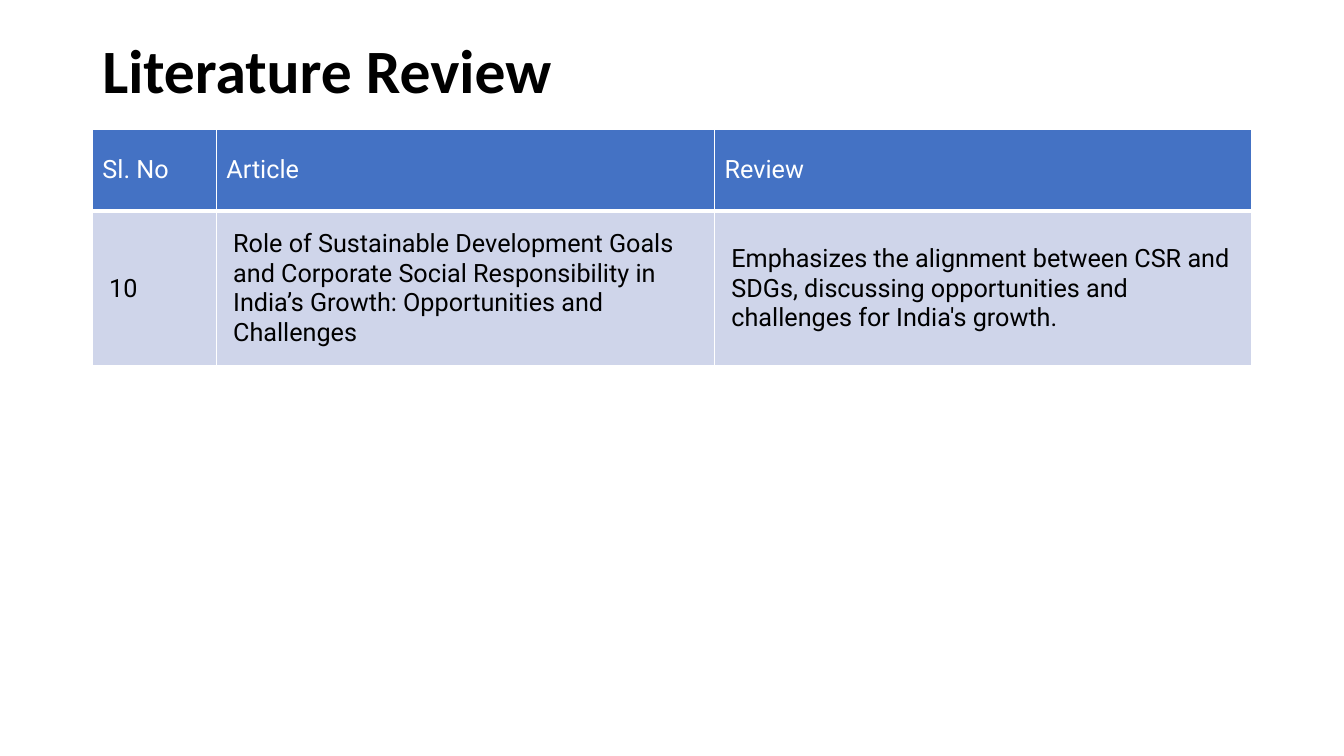
"""Build the literature review slide with its title and article table."""
from dataclasses import dataclass

from lxml.etree import SubElement
from pptx import Presentation
from pptx.dml.color import RGBColor
from pptx.enum.text import MSO_ANCHOR
from pptx.oxml.ns import qn
from pptx.util import Pt


@dataclass(frozen=True)
class Theme:
    title_font: str = "Calibri"
    title_size: int = 44
    body_font: str = "Roboto"
    body_size: int = 18
    black: str = "000000"
    white: str = "FFFFFF"
    header_fill: str = "4472C4"
    body_fill: str = "CFD5EA"


def style_paragraph(paragraph, name, size, color, bold=False):
    paragraph.font.name = name
    paragraph.font.size = Pt(size)
    paragraph.font.bold = bold
    paragraph.font.color.rgb = RGBColor.from_string(color)


def add_border(cell, side, width):
    properties = cell._tc.get_or_add_tcPr()
    line = SubElement(properties, qn(f"a:ln{side}"), w=str(Pt(width)))
    fill = SubElement(line, qn("a:solidFill"))
    SubElement(fill, qn("a:srgbClr"), val=theme.white)


theme = Theme()
presentation = Presentation()
presentation.slide_width = Pt(960)
presentation.slide_height = Pt(540)
slide = presentation.slides.add_slide(presentation.slide_layouts[6])

title = slide.shapes.add_textbox(Pt(66), Pt(0), Pt(828), Pt(104.4))
title.text_frame.word_wrap = True
title.text_frame.vertical_anchor = MSO_ANCHOR.MIDDLE
title_paragraph = title.text_frame.paragraphs[0]
title_paragraph.text = "Literature Review"
title_paragraph.line_spacing = 0.9
style_paragraph(title_paragraph, theme.title_font, theme.title_size, theme.black, bold=True)

rows = [
    ["Sl. No", "Article", "Review"],
    [
        "10",
        "Role of Sustainable Development Goals and Corporate Social Responsibility "
        "in India’s Growth: Opportunities and Challenges",
        "Emphasizes the alignment between CSR and SDGs, discussing opportunities "
        "and challenges for India's growth.",
    ],
]
column_widths = [88.6, 355.9, 383.5]
row_heights = [58.5, 108.5]

table = slide.shapes.add_table(
    len(rows), len(column_widths), Pt(66), Pt(92.4), Pt(sum(column_widths)), Pt(sum(row_heights))
).table
for column, width in zip(table.columns, column_widths):
    column.width = Pt(width)

for row_index, texts in enumerate(rows):
    table.rows[row_index].height = Pt(row_heights[row_index])
    is_header = row_index == 0
    for column_index, text in enumerate(texts):
        cell = table.cell(row_index, column_index)
        cell.text = text
        cell.vertical_anchor = MSO_ANCHOR.MIDDLE
        if not is_header:
            cell.margin_left = cell.margin_right = Pt(12)
            cell.margin_top = cell.margin_bottom = Pt(12)
        for side in "LRTB":
            is_divider = side == ("B" if is_header else "T")
            add_border(cell, side, 3 if is_divider else 1)
        cell.fill.solid()
        cell.fill.fore_color.rgb = RGBColor.from_string(
            theme.header_fill if is_header else theme.body_fill
        )
        style_paragraph(
            cell.text_frame.paragraphs[0],
            theme.body_font,
            theme.body_size,
            theme.white if is_header else theme.black,
        )

presentation.save("out.pptx")
